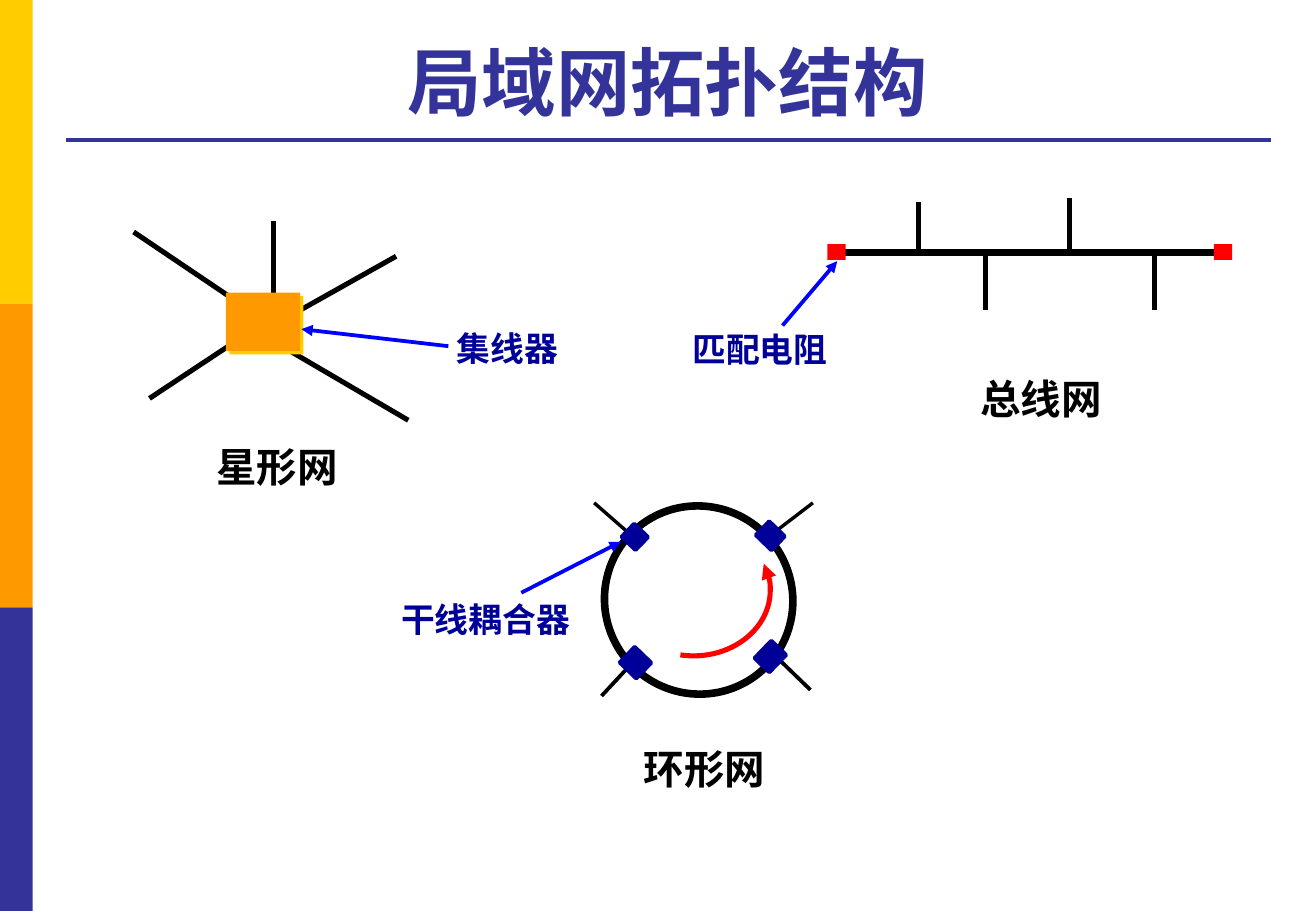
import pptx
import pptx.util
import pptx.dml.color
import pptx.enum.shapes
import pptx.enum.text
import pptx.oxml
import pptx.oxml.ns
from lxml import etree

RGBColor = pptx.dml.color.RGBColor
SHAPE = pptx.enum.shapes.MSO_SHAPE
ALIGN = pptx.enum.text.PP_ALIGN
ANCHOR = pptx.enum.text.MSO_ANCHOR
qn = pptx.oxml.ns.qn

BLACK = RGBColor(0x00, 0x00, 0x00)
WHITE = RGBColor(0xFF, 0xFF, 0xFF)
YELLOW = RGBColor(0xFF, 0xCC, 0x00)
ORANGE = RGBColor(0xFF, 0x99, 0x00)
INDIGO = RGBColor(0x33, 0x33, 0x99)
NAVY = RGBColor(0x00, 0x00, 0x99)
BLUE = RGBColor(0x00, 0x00, 0xFF)
RED = RGBColor(0xFF, 0x00, 0x00)
HEITI = "Noto Sans CJK SC"

CELL = pptx.util.Inches(0.1)
COLUMNS, ROWS = 108.3, 75


def cells(*counts):
    return [round(count * CELL) for count in counts]


def stroke(line, color, weight):
    line.color.rgb = color
    line.width = pptx.util.Pt(weight)


def arrowhead(line_format, end):
    outline = line_format._get_or_add_ln()
    etree.SubElement(outline, qn(f"a:{end}"), type="triangle")


def wire(slide, start, end, weight=3, color=BLACK):
    link = slide.shapes.add_connector(
        pptx.enum.shapes.MSO_CONNECTOR.STRAIGHT, *cells(*start, *end))
    stroke(link.line, color, weight)
    etree.SubElement(link._element.spPr, qn("a:effectLst"))
    return link


def pointer(slide, start, tip):
    link = wire(slide, start, tip, 2.25, BLUE)
    arrowhead(link.line, "tailEnd")


def block(slide, area, fill=None, outline=None, weight=0, kind=SHAPE.RECTANGLE, turn=0):
    part = slide.shapes.add_shape(kind, *cells(*area))
    part.shadow.inherit = False
    part.rotation = turn
    if fill is None:
        part.fill.background()
    else:
        part.fill.solid()
        part.fill.fore_color.rgb = fill
    if outline is None:
        part.line.fill.background()
    else:
        stroke(part.line, outline, weight)
    return part


def cast_shadow(part, color):
    effects = part._element.spPr.find(qn("a:effectLst"))
    shadow = etree.SubElement(
        effects, qn("a:outerShdw"), dist=str(pptx.util.Pt(2.8)),
        dir=str(45 * 60000), algn="ctr", rotWithShape="0")
    etree.SubElement(shadow, qn("a:srgbClr"), val=str(color))


def caption(slide, area, words, size=24, color=BLACK, face=HEITI,
            align=ALIGN.LEFT, anchor=ANCHOR.TOP, wrap=False):
    frame = slide.shapes.add_textbox(*cells(*area)).text_frame
    frame.word_wrap = wrap
    frame.vertical_anchor = anchor
    paragraph = frame.paragraphs[0]
    paragraph.alignment = align
    run = paragraph.add_run()
    run.text = words
    run.font.size = pptx.util.Pt(size)
    run.font.bold = True
    run.font.color.rgb = color
    run.font.name = face
    etree.SubElement(run._r.get_or_add_rPr(), qn("a:ea"), typeface=HEITI)


def draw_frame(slide):
    stripe_height = ROWS / 3
    for index, color in enumerate((YELLOW, ORANGE, INDIGO)):
        block(slide, (0, index * stripe_height, 2.7, stripe_height), color)
    wire(slide, (5.4, 11.5), (104.6, 11.5), 2.25, INDIGO)
    caption(slide, (5.4, 2.1, 99.1, 8.7), "局域网拓扑结构", 44, INDIGO, "Arial",
            ALIGN.CENTER, ANCHOR.BOTTOM, True)


def draw_ring(slide):
    for start, end, weight in (
            ((52.1, 44.2), (48.9, 41.4), 2), ((66.9, 41.4), (63.5, 44), 2),
            ((66.7, 56.8), (63.7, 53.9), 2.25), ((52.2, 54.4), (49.5, 57.3), 2.25)):
        wire(slide, start, end, weight)
    block(slide, (49.8, 41.6, 15.4, 15.6), WHITE, BLACK, 4.5, SHAPE.OVAL, 314)
    for coupler in ((51.5, 43.4, 1.5, 1.6), (62.4, 53.2, 2, 1.7),
                    (62.6, 43.2, 1.6, 1.8), (51.4, 53.6, 1.8, 1.9)):
        block(slide, coupler, NAVY, NAVY, 2.25, turn=314)
    pointer(slide, (42.9, 48.8), (51.1, 44.6))
    token_flow = block(slide, (50.8, 43.2, 12.6, 10.8), None, RED, 3, SHAPE.ARC)
    for index, degrees in enumerate((339.2, 101.7)):
        token_flow.adjustments[index] = degrees * 0.6
    arrowhead(token_flow.line, "headEnd")
    caption(slide, (30.5, 48.8, 17.4, 4.3), "干线耦合器", 20, NAVY,
            "Times New Roman", ALIGN.RIGHT, wrap=True)
    caption(slide, (52, 60.8, 12.2, 5.1), "环形网")


def draw_star(slide):
    for start, end in (
            ((19.9, 25.1), (11, 19.1)), ((22.5, 25.1), (22.5, 18.2)),
            ((19.4, 28.1), (12.3, 32.8)), ((22.5, 28.1), (33.6, 34.6)),
            ((23.7, 26.1), (32.6, 21.1))):
        wire(slide, start, end)
    hub = block(slide, (18.6, 24.1, 6.1, 4.8), ORANGE)
    cast_shadow(hub, YELLOW)
    caption(slide, (16.8, 35.9, 12.2, 5), "星形网")
    caption(slide, (36.6, 26.5, 10.5, 4.3), "集线器", 20, NAVY, "Times New Roman")
    pointer(slide, (36.9, 28.5), (24.8, 27.1))


def draw_bus(slide):
    trunk = 20.8
    wire(slide, (69.4, trunk), (100.6, trunk), 4.5)
    for resistor in (68.1, 99.9):
        block(slide, (resistor, 20.1, 1.5, 1.3), RED)
    for column, tip in ((75.6, 16.6), (81.1, 25.5), (88, 16.3), (95, 25.5)):
        wire(slide, (column, trunk), (column, tip))
    caption(slide, (79.7, 30.3, 12.2, 5.1), "总线网")
    caption(slide, (56, 26.6, 13.3, 4.3), "匹配电阻", 20, NAVY, "Arial")
    pointer(slide, (64.4, 26.8), (68.9, 21.5))


def main():
    deck = pptx.Presentation()
    deck.slide_width, deck.slide_height = cells(COLUMNS, ROWS)
    slide = deck.slides.add_slide(deck.slide_layouts[6])
    draw_frame(slide)
    draw_ring(slide)
    draw_star(slide)
    draw_bus(slide)
    deck.save("out.pptx")


if __name__ == "__main__":
    main()
